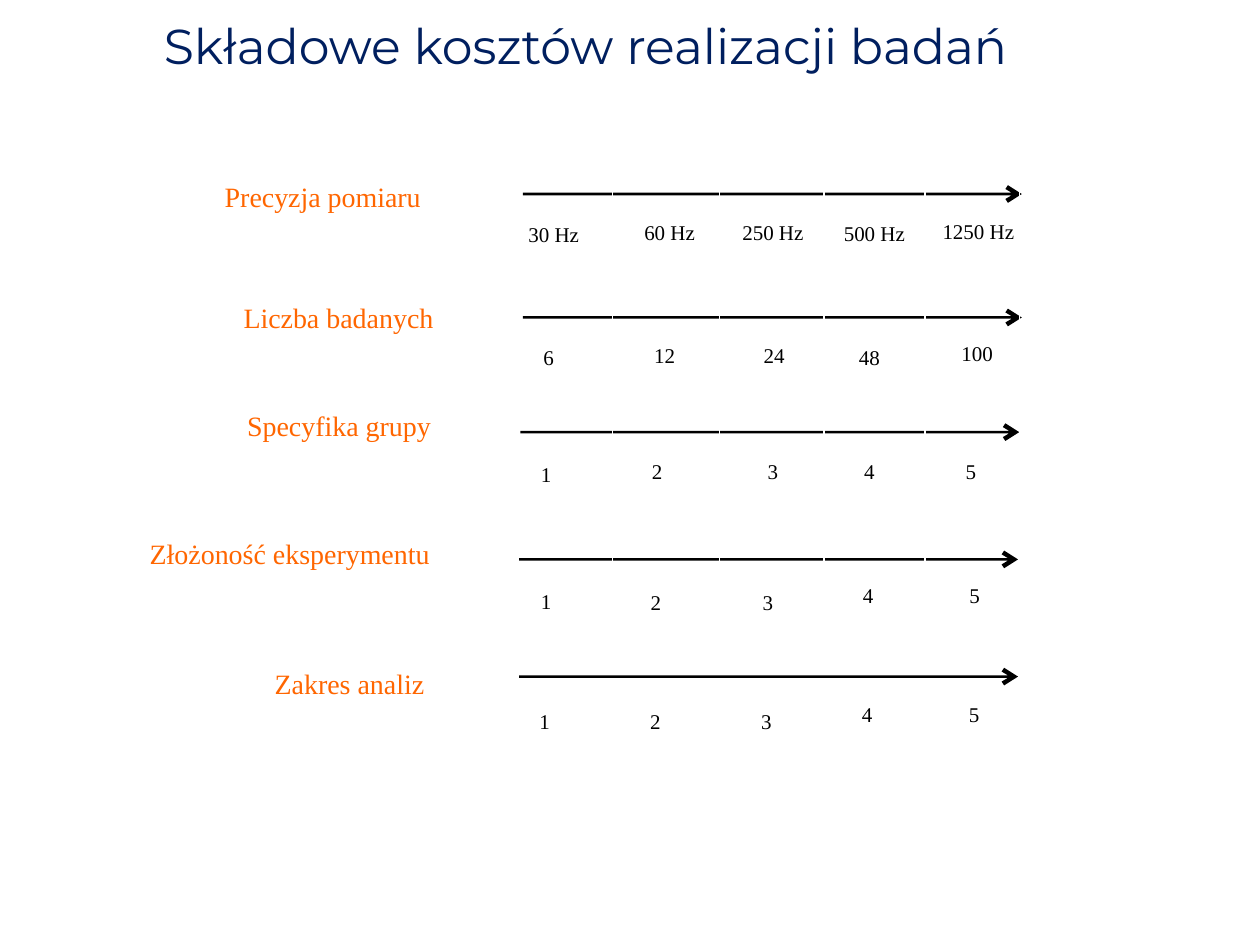
import pptx
import pptx.util
import pptx.dml.color
import pptx.enum.text

In, Pt = pptx.util.Inches, pptx.util.Pt
RGB = pptx.dml.color.RGBColor
ALIGN = pptx.enum.text.PP_ALIGN
NAVY, ORANGE, BLACK = RGB(0, 0x1F, 0x5F), RGB(0xFF, 0x66, 0), RGB(0, 0, 0)
SERIF = "Times New Roman"

TITLE = "Składowe kosztów realizacji badań"
COLS = [2.68, 1.05, 0.85, 0.83, 0.8, 0.75]
ROWS = [0.76, 0.92, 0.48, 0.48, 0.51, 0.29]
LEFT, TOP = 1.13, 1.45

# Table labels: row, text, gap above, gap at right
LABELS = [
    (0, "Precyzja pomiaru", 0, 0.47),
    (1, "Liczba badanych", 0.2, 0.37),
    (2, "Specyfika grupy", 0.14, 0.39),
    (4, "Złożoność eksperymentu", 0.19, 0.4),
]
# Table scales: row, then (text, gap above, shift from column centre)
SCALES = [
    (0, [("30 Hz", 0.33, 0.06), ("60 Hz", 0.31, 0.03), ("250 Hz", 0.31, 0.01),
         ("500 Hz", 0.32, 0), ("1250 Hz", 0.3, 0.05)]),
    (1, [("6", 0.54, 0.02), ("12", 0.53, -0.01), ("24", 0.53, 0.02),
         ("48", 0.54, -0.04), ("100", 0.51, 0.04)]),
    (3, [("1", 0.07, 0), ("2", 0.05, -0.07), ("3", 0.05, 0.01),
         ("4", 0.05, -0.04), ("5", 0.05, -0.01)]),
    (5, [("1", 0.09, 0), ("2", 0.1, -0.08), ("3", 0.1, -0.03),
         ("4", 0.04, -0.05), ("5", 0.04, 0.02)]),
]
# Last scale, below the table: text, left, top, width, height, size, colour
LAST = [("Zakres analiz", 2.17, 5.27, 1.22, 0.3, 16, ORANGE)] + [
    (str(n), x, y, 0.11, 0.23, 12, BLACK) for n, (x, y) in enumerate(
        [(4.27, 5.6), (5.15, 5.6), (6.03, 5.6), (6.83, 5.55), (7.68, 5.55)], 1)
]
# Arrows: left, height on the slide
ARROWS = [(4.15, 1.54), (4.15, 2.52), (4.13, 3.43), (4.12, 4.44), (4.12, 5.37)]
# Upper half of an arrow outline, from its tail to its tip
HALF = [(0, -0.01), (3.88, -0.01), (3.83, -0.04), (3.85, -0.07)]
TIP = (3.96, 0)


def write(box, text, size, color, font=SERIF, align=ALIGN.LEFT):
    par = box.text_frame.paragraphs[0]
    par.text, par.alignment = text, align
    par.font.size, par.font.name = Pt(size), font
    par.font.color.rgb = color


def inset(box, left=0, top=0, right=0):
    box.margin_left, box.margin_top = In(left), In(top)
    box.margin_right, box.margin_bottom = In(right), 0


deck = pptx.Presentation()
deck.slide_width, deck.slide_height = In(10), In(7.5)
slide = deck.slides.add_slide(deck.slide_layouts[5])

# Title
title = slide.shapes.title
title.left, title.top, title.width, title.height = In(1.29), In(0.1), In(7.48), In(0.5)
inset(title.text_frame, left=0.01, top=0.02)
title.text_frame.vertical_anchor = pptx.enum.text.MSO_ANCHOR.TOP
write(title, TITLE, 28, NAVY, "Montserrat")

# Scale arrows
outline = HALF + [TIP] + [(x, -y) for x, y in reversed(HALF)]
for left, mid in ARROWS:
    dots = [(In(left + x), In(mid + y)) for x, y in outline]
    pen = slide.shapes.build_freeform(*dots[0])
    pen.add_line_segments(dots[1:], close=True)
    arrow = pen.convert_to_shape()
    arrow.shadow.inherit = False
    arrow.fill.solid()
    arrow.fill.fore_color.rgb = BLACK
    arrow.line.fill.background()

# Table of labels and scale values
table = slide.shapes.add_table(len(ROWS), len(COLS), In(LEFT), In(TOP),
                               In(sum(COLS)), In(sum(ROWS))).table
table.first_row = table.horz_banding = False
for col, wide in zip(table.columns, COLS):
    col.width = In(wide)
for row, high in zip(table.rows, ROWS):
    row.height = In(high)
for cell in table.iter_cells():
    cell.fill.background()
    inset(cell)
    cell.text_frame.paragraphs[0].font.size = Pt(12)
for row, text, gap, right in LABELS:
    cell = table.cell(row, 0)
    inset(cell, top=gap, right=right)
    write(cell, text, 16, ORANGE, align=ALIGN.RIGHT)
for row, marks in SCALES:
    for col, (text, gap, shift) in enumerate(marks, 1):
        cell = table.cell(row, col)
        inset(cell, max(2 * shift, 0), gap, max(-2 * shift, 0))
        write(cell, text, 12, BLACK, align=ALIGN.CENTER)

# Last scale
for text, x, y, wide, high, size, color in LAST:
    box = slide.shapes.add_textbox(In(x), In(y), In(wide), In(high))
    box.text_frame.word_wrap = False
    inset(box.text_frame, left=0.01, top=0.02)
    write(box, text, size, color)

deck.save("out.pptx")
